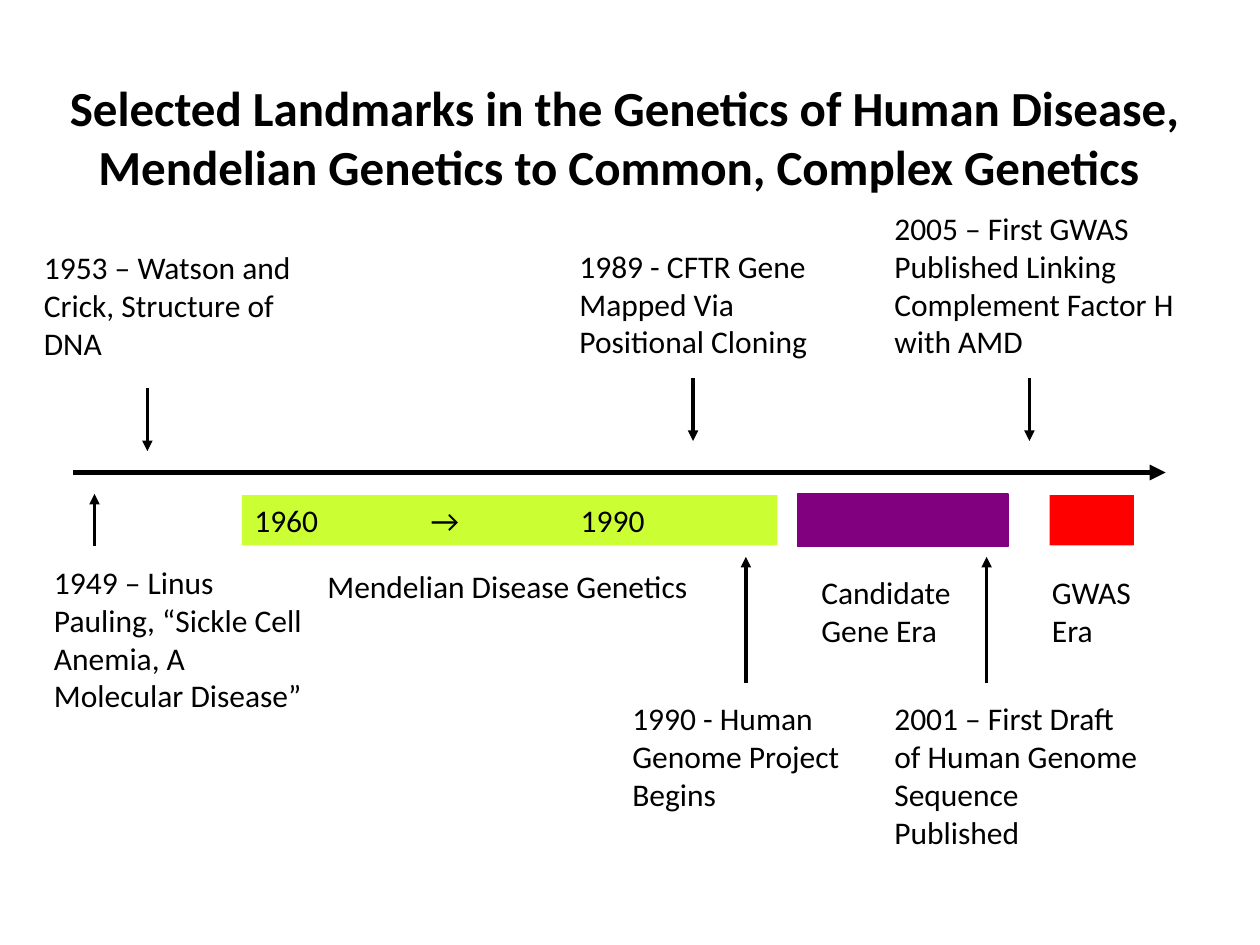
from pptx import Presentation
from pptx.dml.color import RGBColor
from pptx.enum.shapes import MSO_CONNECTOR, MSO_SHAPE
from pptx.enum.text import MSO_ANCHOR, MSO_AUTO_SIZE, PP_ALIGN
from pptx.oxml.ns import qn
from pptx.util import Inches, Pt
from lxml.etree import SubElement, Element

BLACK = RGBColor(0x00, 0x00, 0x00)
LIME = RGBColor(0xCC, 0xFF, 0x33)
PURPLE = RGBColor(0x80, 0x00, 0x80)
RED = RGBColor(0xFF, 0x00, 0x00)


def write_text(frame, text, size=18, bold=False, align=PP_ALIGN.LEFT):
    frame.word_wrap = True
    frame.auto_size = MSO_AUTO_SIZE.NONE
    paragraph = frame.paragraphs[0]
    paragraph.text = text
    paragraph.alignment = align
    paragraph.font.name = "Calibri"
    paragraph.font.size = Pt(size)
    paragraph.font.bold = bold
    paragraph.font.color.rgb = BLACK
    return paragraph


def add_arrow(shapes, start_x, start_y, end_x, end_y, width):
    arrow = shapes.add_connector(
        MSO_CONNECTOR.STRAIGHT,
        Inches(start_x), Inches(start_y), Inches(end_x), Inches(end_y))
    arrow.line.color.rgb = BLACK
    arrow.line.width = Pt(width)
    SubElement(arrow.line._get_or_add_ln(), qn("a:tailEnd"), type="triangle")
    SubElement(arrow._element.spPr, qn("a:effectLst"))


deck = Presentation()
deck.slide_width = Inches(10)
deck.slide_height = Inches(7.5)
page = deck.slides.add_slide(deck.slide_layouts[5])

title = page.shapes.title
title.left, title.top = Inches(0.33), Inches(0.42)
title.width, title.height = Inches(9.25), Inches(1.33)
title.text_frame.vertical_anchor = MSO_ANCHOR.MIDDLE
write_text(
    title.text_frame,
    "Selected Landmarks in the Genetics of Human Disease,\v"
    "Mendelian Genetics to Common, Complex Genetics ",
    size=28, bold=True, align=PP_ALIGN.CENTER)

add_arrow(page.shapes, 0.58, 3.75, 9.25, 3.75, 3)

event_arrows = [
    (0.75, 4.33, 3.92),
    (1.17, 3.08, 3.58),
    (5.5, 3, 3.5),
    (8.17, 3, 3.5),
    (5.92, 5.42, 4.42),
    (7.83, 5.42, 4.42),
]
for x, start_y, end_y in event_arrows:
    add_arrow(page.shapes, x, start_y, x, end_y, 2)

eras = [
    (1.92, 3.93, 4.25, 0.4, LIME, "1960\t→\t1990"),
    (6.33, 3.92, 1.67, 0.42, PURPLE, ""),
    (8.33, 3.93, 0.67, 0.4, RED, ""),
]
for left, top, width, height, color, text in eras:
    bar = page.shapes.add_shape(
        MSO_SHAPE.RECTANGLE,
        Inches(left), Inches(top), Inches(width), Inches(height))
    bar.shadow.inherit = False
    bar.fill.solid()
    bar.fill.fore_color.rgb = color
    bar.line.fill.background()
    if color == PURPLE:
        bar.line.color.rgb = color
        bar.line.width = Pt(0.75)
    if text:
        paragraph = write_text(bar.text_frame, text)
        tab_list = Element(qn("a:tabLst"))
        for stop in (1.4, 2.59):
            SubElement(tab_list, qn("a:tab"), pos=str(Inches(stop)), algn="l")
        paragraph._p.get_or_add_pPr().insert(0, tab_list)

labels = [
    (0.33, 4.42, 2.25, 1.6,
     "1949 – Linus Pauling, “Sickle Cell Anemia, A Molecular Disease”"),
    (0.25, 1.92, 2.25, 1, "1953 – Watson and Crick, Structure of DNA"),
    (2.5, 4.45, 3.5, 0.4, "Mendelian Disease Genetics"),
    (4.5, 1.91, 2.25, 1, "1989 - CFTR Gene Mapped Via Positional Cloning"),
    (7, 1.61, 2.83, 1.3,
     "2005 – First GWAS Published Linking Complement Factor H with AMD"),
    (6.42, 4.5, 1.5, 0.7, "Candidate Gene Era"),
    (8.25, 4.5, 0.92, 0.7, "GWAS Era"),
    (4.92, 5.5, 2, 1, "1990 - Human Genome Project Begins"),
    (7, 5.5, 2.17, 1.3,
     "2001 – First Draft of Human Genome Sequence Published"),
]
for left, top, width, height, text in labels:
    box = page.shapes.add_textbox(
        Inches(left), Inches(top), Inches(width), Inches(height))
    write_text(box.text_frame, text)

deck.save("out.pptx")
